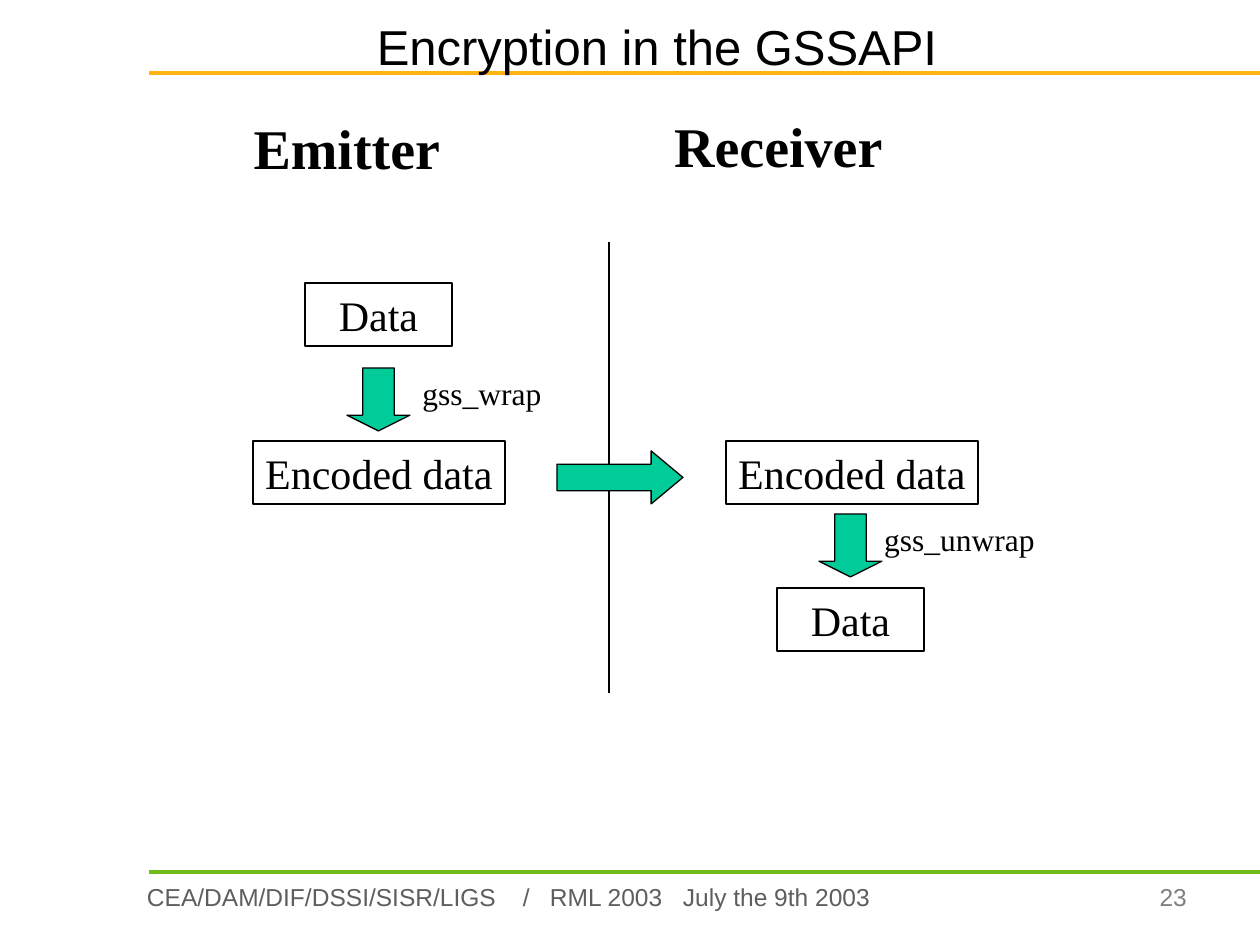
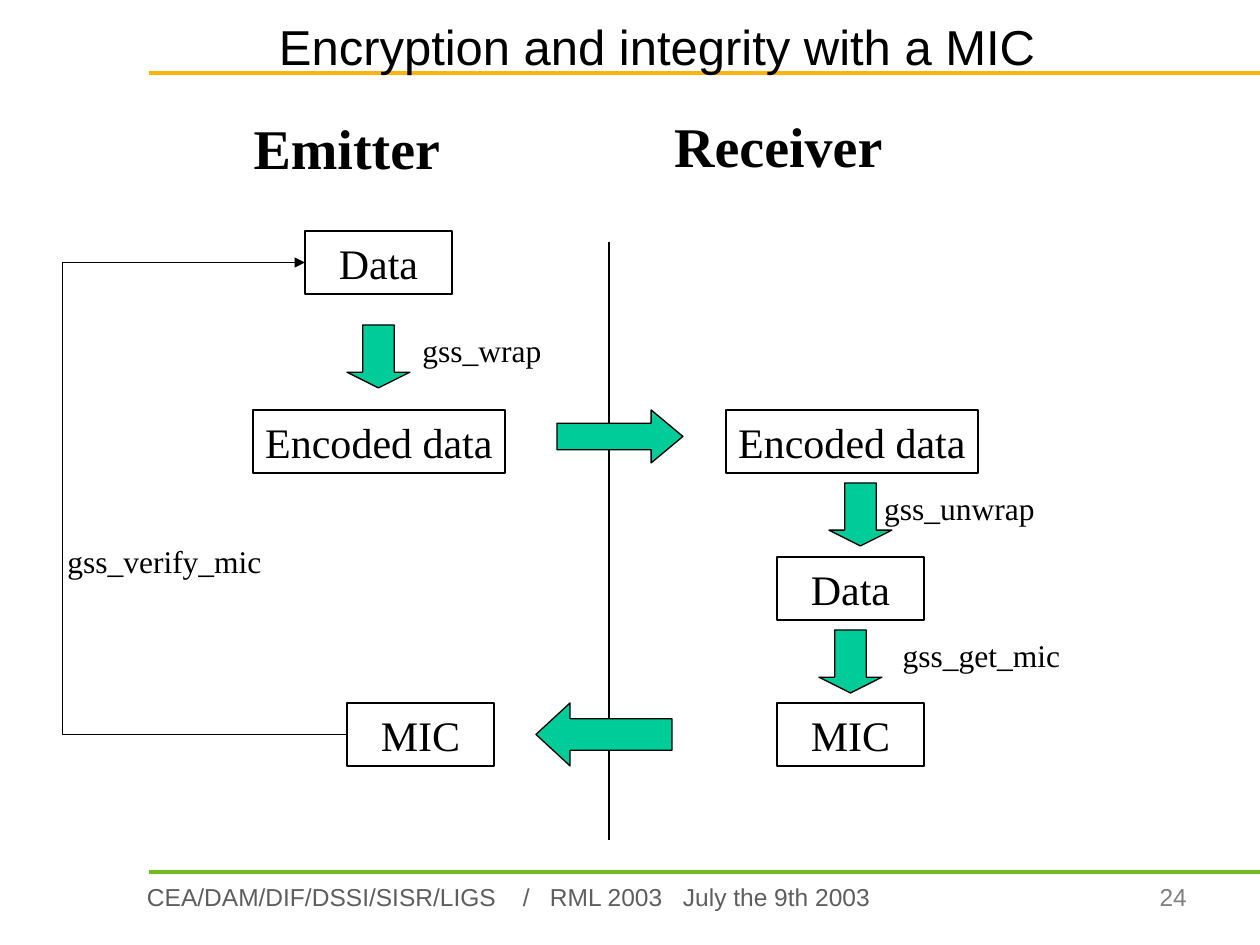
import lxml.etree
import pptx
import pptx.dml.color
import pptx.enum.shapes
import pptx.enum.text
import pptx.oxml.ns
import pptx.shapes.connector
import pptx.util

PX = 914400 // 126
SERIF, SANS = "Times New Roman", "Arial"
BLACK, GREEN, ORANGE, LIME = "000000", "00CC99", "FFB310", "70BC1F"
FOOTER_GREY, NUMBER_GREY = "5E5E5E", "808080"
FOOTER = "CEA/DAM/DIF/DSSI/SISR/LIGS\t/\tRML 2003\tJuly the 9th 2003"
FOOTER_TABS = (376, 403, 536)
SHAPE = pptx.enum.shapes.MSO_SHAPE
CONNECTOR = pptx.enum.shapes.MSO_CONNECTOR
ALIGN = pptx.enum.text.PP_ALIGN
ANCHOR = pptx.enum.text.MSO_ANCHOR
qn = pptx.oxml.ns.qn

BOX_HEIGHT = 63
BOX_WIDTHS = {"Data": 147, "MIC": 147, "Encoded data": 252}
ARROWS = {  # width, height, length of the head relative to the short side
    SHAPE.DOWN_ARROW: (63, 63, 0.25),
    SHAPE.RIGHT_ARROW: (126, 53, 0.6),
    SHAPE.LEFT_ARROW: (136, 63, 0.542),
}
HEADINGS = [("Emitter", 241, 107, 212), ("Receiver", 662, 105, 233)]

# boxes: text, left, top; arrows: kind, left, top; calls: text, left, top, width
DIAGRAMS = [
    {
        "title": "Encryption in the GSSAPI",
        "number": 23,
        "divider_end": 693,
        "boxes": [("Data", 305, 283), ("Encoded data", 253, 441),
                  ("Encoded data", 726, 441), ("Data", 777, 588)],
        "arrows": [(SHAPE.RIGHT_ARROW, 557, 451), (SHAPE.DOWN_ARROW, 347, 368),
                   (SHAPE.DOWN_ARROW, 819, 514)],
        "calls": [("gss_wrap", 410, 368, 144), ("gss_unwrap", 872, 514, 175)],
    },
    {
        "title": "Encryption and integrity with a MIC",
        "number": 24,
        "divider_end": 840,
        "boxes": [("Data", 305, 231), ("Encoded data", 253, 410),
                  ("Encoded data", 726, 410), ("Data", 777, 557),
                  ("MIC", 777, 703), ("MIC", 347, 703)],
        "arrows": [(SHAPE.RIGHT_ARROW, 557, 410), (SHAPE.DOWN_ARROW, 347, 325),
                   (SHAPE.DOWN_ARROW, 829, 483), (SHAPE.DOWN_ARROW, 819, 630),
                   (SHAPE.LEFT_ARROW, 536, 703)],
        "calls": [("gss_wrap", 410, 325, 144), ("gss_unwrap", 872, 483, 175),
                  ("gss_get_mic", 890, 630, 183), ("gss_verify_mic", 55, 536, 219)],
        "verify_left": 63,
    },
]


def paint(fill, color):
    """Make the fill of a shape, line or font solid."""
    fill.solid()
    fill.fore_color.rgb = pptx.dml.color.RGBColor.from_string(color)


def write(shape, text, font=SERIF, size=24, color=BLACK, bold=False,
          align=ALIGN.CENTER, anchor=ANCHOR.TOP, wrap=False, inset=True, tabs=()):
    frame = shape.text_frame
    frame.word_wrap = wrap
    frame.auto_size = pptx.enum.text.MSO_AUTO_SIZE.NONE
    frame.vertical_anchor = anchor
    if not inset:
        frame.margin_left = frame.margin_right = 0
        frame.margin_top = frame.margin_bottom = 0
    paragraph = frame.paragraphs[0]
    paragraph.alignment = align
    if tabs:
        properties = paragraph._p.get_or_add_pPr()
        tab_list = lxml.etree.SubElement(properties, qn("a:tabLst"))
        for position in tabs:
            lxml.etree.SubElement(tab_list, qn("a:tab"), pos=str(position * PX), algn="l")
    run = paragraph.add_run()
    run.text = text
    run.font.name = font
    run.font.size = pptx.util.Pt(size)
    run.font.bold = bold
    paint(run.font.fill, color)


presentation = pptx.Presentation()
presentation.slide_width = pptx.util.Inches(10)
presentation.slide_height = pptx.util.Inches(7.5)
title_only = presentation.slide_layouts[5]

for diagram in DIAGRAMS:
    slide = presentation.slides.add_slide(title_only)
    shapes = slide.shapes

    # Bands, divider and footer
    for x1, y1, x2, y2, color, width in [
        (149, 73, 1260, 73, ORANGE, 2.25),
        (149, 872, 1260, 872, LIME, 2.25),
        (609, 242, 609, diagram["divider_end"], BLACK, 0.75),
    ]:
        line = shapes.add_connector(CONNECTOR.STRAIGHT, x1 * PX, y1 * PX, x2 * PX, y2 * PX)
        paint(line.line.fill, color)
        line.line.width = pptx.util.Pt(width)
    footer = shapes.add_textbox(147 * PX, 882 * PX, 735 * PX, 32 * PX)
    write(footer, FOOTER, font=SANS, size=14, color=FOOTER_GREY, align=ALIGN.LEFT,
          wrap=True, inset=False, tabs=FOOTER_TABS)
    number = shapes.add_textbox(1134 * PX, 882 * PX, 53 * PX, 32 * PX)
    write(number, str(diagram["number"]), font=SANS, size=14, color=NUMBER_GREY,
          align=ALIGN.RIGHT, wrap=True, inset=False)

    # The title lies over the orange band
    title = shapes.title
    title.left, title.top, title.width, title.height = 136 * PX, 21 * PX, 1042 * PX, 49 * PX
    write(title, diagram["title"], font=SANS, size=28, anchor=ANCHOR.MIDDLE, wrap=True)
    shapes._spTree.append(title._element)

    for text, left, top, width in HEADINGS:
        heading = shapes.add_textbox(left * PX, top * PX, width * PX, 81 * PX)
        write(heading, text, size=32, bold=True)

    boxes = []
    for text, left, top in diagram["boxes"]:
        box = shapes.add_shape(SHAPE.RECTANGLE, left * PX, top * PX,
                               BOX_WIDTHS[text] * PX, BOX_HEIGHT * PX)
        box.shadow.inherit = False
        box.fill.background()
        paint(box.line.fill, BLACK)
        box.line.width = pptx.util.Pt(0.75)
        write(box, text)
        boxes.append(box)

    for kind, left, top in diagram["arrows"]:
        width, height, head = ARROWS[kind]
        arrow = shapes.add_shape(kind, left * PX, top * PX, width * PX, height * PX)
        arrow.shadow.inherit = False
        arrow.adjustments[0], arrow.adjustments[1] = 0.5, head
        paint(arrow.fill, GREEN)
        paint(arrow.line.fill, BLACK)
        arrow.line.width = pptx.util.Pt(0.75)

    for text, left, top, width in diagram["calls"]:
        call = shapes.add_textbox(left * PX, top * PX, width * PX, 50 * PX)
        write(call, text, size=18)

    # The MIC goes back to the emitter's data, round the left side
    if "verify_left" in diagram:
        data, mic = boxes[0], boxes[-1]
        verify = shapes.add_connector(CONNECTOR.ELBOW, mic.left, mic.top, data.left, data.top)
        verify.begin_connect(mic, 1)
        verify.end_connect(data, 1)
        paint(verify.line.fill, BLACK)
        verify.line.width = pptx.util.Pt(0.75)
        bend = (mic.left - diagram["verify_left"] * PX) / (mic.left - data.left)
        guides = verify._element.spPr.find(qn("a:prstGeom")).get_or_add_avLst()
        lxml.etree.SubElement(guides, qn("a:gd"), name="adj1", fmla=f"val {round(bend * 100000)}")
        lxml.etree.SubElement(verify.line._get_or_add_ln(), qn("a:tailEnd"), type="triangle")

    for shape in shapes:
        if isinstance(shape, pptx.shapes.connector.Connector):
            lxml.etree.SubElement(shape._element.spPr, qn("a:effectLst"))

presentation.save("out.pptx")
